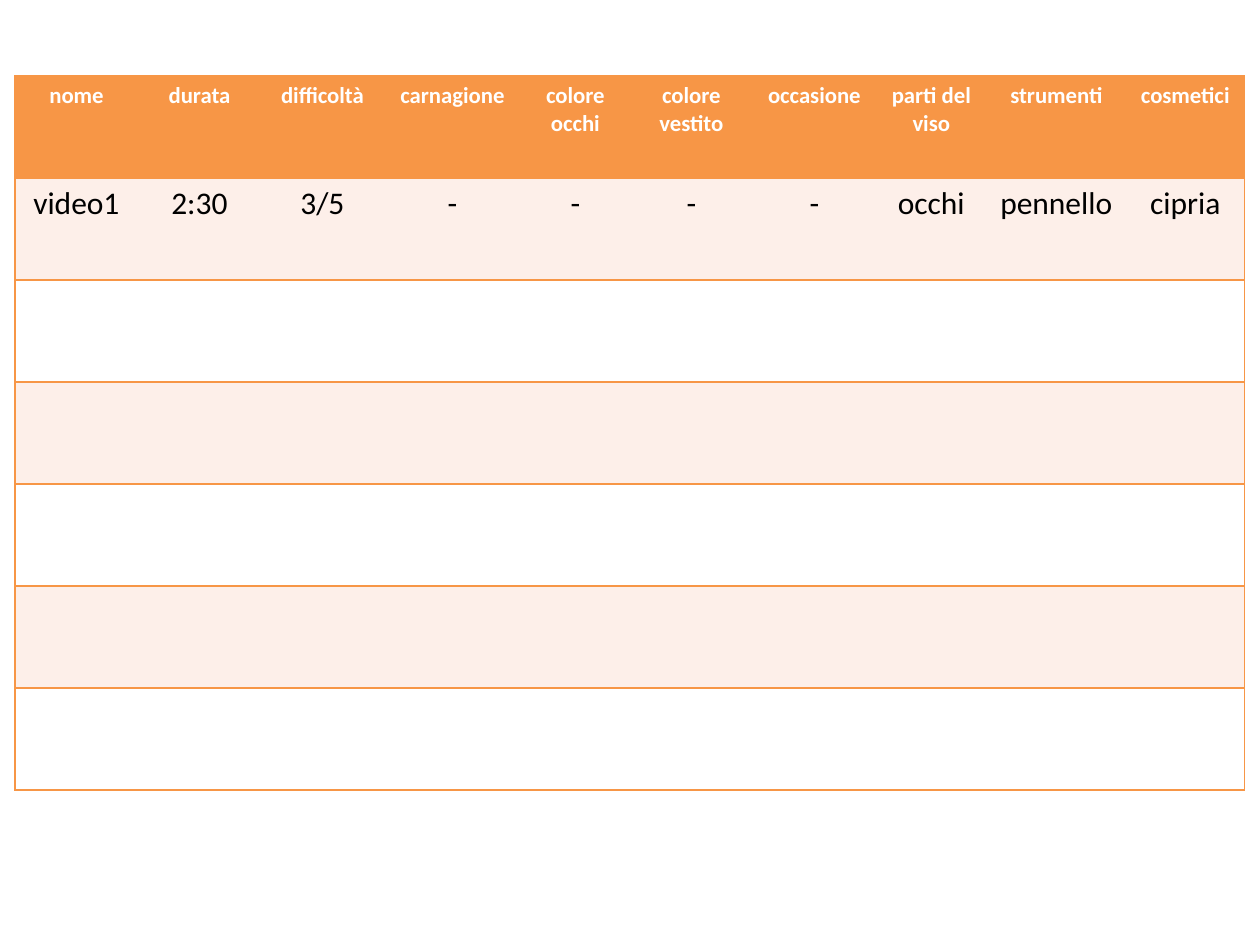
from lxml import etree
from pptx import Presentation
from pptx.dml.color import RGBColor
from pptx.enum.text import PP_ALIGN
from pptx.oxml.ns import qn
from pptx.util import Emu, Pt

CENTER = PP_ALIGN.CENTER
SCALE = 914400 / 126
ORANGE, PEACH, WHITE, BLACK = "F79646", "FDEFE9", "FFFFFF", "000000"

LEFT, TOP, ROW_H = 15, 76, 102
WIDTHS = [123, 123, 123, 137, 109, 123, 123, 111, 139, 119]
HEADS = ["nome", "durata", "difficoltà", "carnagione", "colore occhi",
         "colore vestito", "occasione", "parti del viso", "strumenti", "cosmetici"]
VIDEO = ["video1", "2:30", "3/5", "-", "-", "-", "-", "occhi", "pennello", "cipria"]
EMPTY = [""] * len(HEADS)
ROWS = [HEADS, VIDEO] + [EMPTY] * 5


def px(n):
    return Emu(round(n * SCALE))


def rgb(code):
    return RGBColor.from_string(code)


def add_edge(cell, side, shown):
    """Draw one cell border in orange, or turn it off."""
    line = etree.SubElement(cell._tc.get_or_add_tcPr(), qn(f"a:ln{side}"))
    if shown:
        line.set("w", str(Pt(1)))
        fill = etree.SubElement(line, qn("a:solidFill"))
        etree.SubElement(fill, qn("a:srgbClr"), val=ORANGE)
    else:
        etree.SubElement(line, qn("a:noFill"))


def style_cell(cell, row, col):
    edges = {"L": col == 0, "R": col == len(WIDTHS) - 1, "T": True, "B": True}
    for side, shown in edges.items():
        add_edge(cell, side, shown)
    head = row == 0
    cell.fill.solid()
    cell.fill.fore_color.rgb = rgb(ORANGE if head else PEACH if row % 2 else WHITE)
    para = cell.text_frame.paragraphs[0]
    para.alignment = CENTER
    font = para.font
    font.name = "Calibri"
    font.size = Pt(13 if head else 18)
    font.bold = head
    font.color.rgb = rgb(WHITE if head else BLACK)


def add_grid(slide):
    frame = slide.shapes.add_table(len(ROWS), len(WIDTHS), px(LEFT), px(TOP),
                                   px(sum(WIDTHS)), px(ROW_H * len(ROWS)))
    table = frame.table
    for col, width in zip(table.columns, WIDTHS):
        col.width = px(width)
    for r, texts in enumerate(ROWS):
        table.rows[r].height = px(ROW_H)
        for c, text in enumerate(texts):
            cell = table.cell(r, c)
            cell.text = text
            style_cell(cell, r, c)


def main():
    deck = Presentation()
    deck.slide_width, deck.slide_height = px(1260), px(945)
    slide = deck.slides.add_slide(deck.slide_layouts[6])
    add_grid(slide)
    deck.save("out.pptx")


if __name__ == "__main__":
    main()
